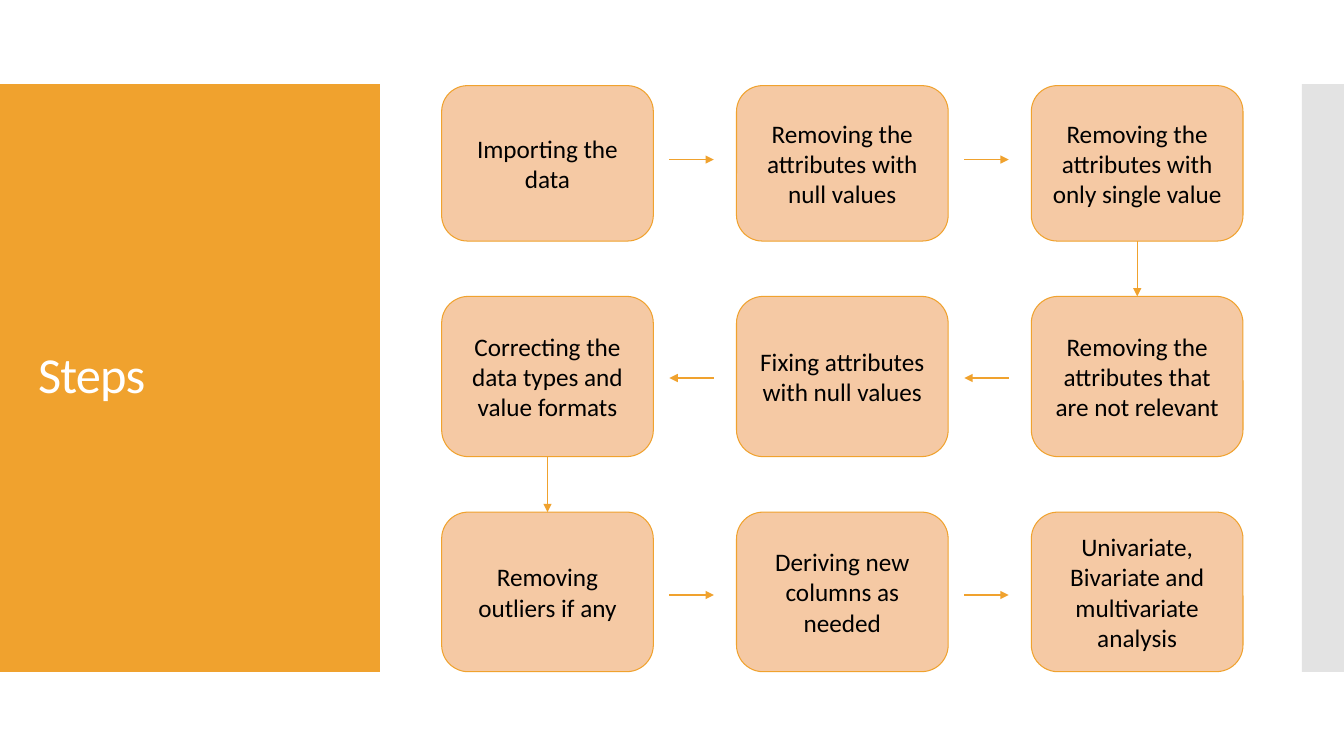
from lxml.etree import SubElement
from pptx import Presentation
from pptx.dml.color import RGBColor
from pptx.enum.shapes import MSO_CONNECTOR, MSO_SHAPE
from pptx.enum.text import MSO_ANCHOR, PP_ALIGN
from pptx.oxml.ns import qn
from pptx.util import Pt

FONT = "Calibri"
ORANGE, PEACH, GREY = "F0A22E", "F5C9A4", "C8C8C8"
WHITE, BLACK = "FFFFFF", "000000"

BOX_LEFT, BOX_WIDTH, COLUMN_PITCH = 315.5, 151.2, 210.6
ARROW_GAP, ARROW_LENGTH = 11.5, 31.7

# Top, height and arrow level of each row, then its steps from left to right
ROWS = [
    (61.2, 111, 114, ["Importing the data",
                      "Removing the attributes with null values",
                      "Removing the attributes with only single value"]),
    (211.7, 114.5, 270, ["Correcting the data types and value formats",
                         "Fixing attributes with null values",
                         "Removing the attributes that are not relevant"]),
    (365.8, 114, 425, ["Removing outliers if any",
                       "Deriving new columns as needed",
                       "Univariate, Bivariate and multivariate analysis"]),
]


def color(hex_string):
    return RGBColor.from_string(hex_string)


def format_text(text_frame, size, hex_string, alignment):
    text_frame.word_wrap = True
    text_frame.vertical_anchor = MSO_ANCHOR.MIDDLE
    paragraph = text_frame.paragraphs[0]
    paragraph.alignment = alignment
    font = paragraph.runs[0].font
    font.name, font.size = FONT, Pt(size)
    font.color.rgb = color(hex_string)
    return paragraph


def add_filled(slide, kind, left, top, width, height, fill):
    shape = slide.shapes.add_shape(kind, Pt(left), Pt(top), Pt(width), Pt(height))
    shape.shadow.inherit = False
    shape.fill.solid()
    shape.fill.fore_color.rgb = color(fill)
    return shape


def add_panel(slide, left, width, fill):
    panel = add_filled(slide, MSO_SHAPE.RECTANGLE, left, 60, width, 420, fill)
    panel.line.fill.background()
    return panel


def add_title(slide, text):
    title = slide.shapes.title
    title.left, title.top, title.width, title.height = Pt(20), Pt(88.5), Pt(232), Pt(362)
    title.text_frame.text = text
    paragraph = format_text(title.text_frame, 36, WHITE, PP_ALIGN.LEFT)
    paragraph.line_spacing = 0.9
    paragraph.runs[0].font._element.set("spc", "-60")
    # Bring the title in front of the panels
    slide.shapes._spTree.append(title._element)


def add_step(slide, left, top, height, text):
    box = add_filled(slide, MSO_SHAPE.ROUNDED_RECTANGLE, left, top, BOX_WIDTH, height, PEACH)
    box.line.color.rgb = color(ORANGE)
    box.line.width = Pt(0.75)
    box.text_frame.text = text
    format_text(box.text_frame, 18, BLACK, PP_ALIGN.CENTER)
    return box


def add_arrow(slide, start_x=0, end_x=0, y=0):
    arrow = slide.shapes.add_connector(
        MSO_CONNECTOR.STRAIGHT, Pt(start_x), Pt(y), Pt(end_x), Pt(y))
    arrow.line.color.rgb = color(ORANGE)
    arrow.line.width = Pt(0.75)
    SubElement(arrow.line._get_or_add_ln(), qn("a:tailEnd"), type="triangle")
    SubElement(arrow._element.spPr, qn("a:effectLst"))
    return arrow


def join_down(slide, upper, lower):
    arrow = add_arrow(slide)
    arrow.begin_connect(upper, 2)
    arrow.end_connect(lower, 0)


def add_flow(slide):
    """Lay out the steps as a snake: right, down, left, down, right."""
    grid = []
    for row, (top, height, level, steps) in enumerate(ROWS):
        lefts = [BOX_LEFT + column * COLUMN_PITCH for column in range(len(steps))]
        grid.append([add_step(slide, left, top, height, text)
                     for left, text in zip(lefts, steps)])
        for left in lefts[:-1]:
            start = left + BOX_WIDTH + ARROW_GAP
            end = start + ARROW_LENGTH
            if row % 2:
                start, end = end, start
            add_arrow(slide, start, end, level)
    join_down(slide, grid[0][-1], grid[1][-1])
    join_down(slide, grid[1][0], grid[2][0])


def main():
    presentation = Presentation()
    presentation.slide_width, presentation.slide_height = Pt(960), Pt(540)
    slide = presentation.slides.add_slide(presentation.slide_layouts[5])
    add_panel(slide, 0, 271.3, ORANGE)
    side_panel = add_panel(slide, 930, 30, GREY)
    SubElement(side_panel.fill._xPr.find(qn("a:solidFill"))[0], qn("a:alpha"), val="50000")
    add_title(slide, "Steps")
    add_flow(slide)
    presentation.save("out.pptx")


if __name__ == "__main__":
    main()
